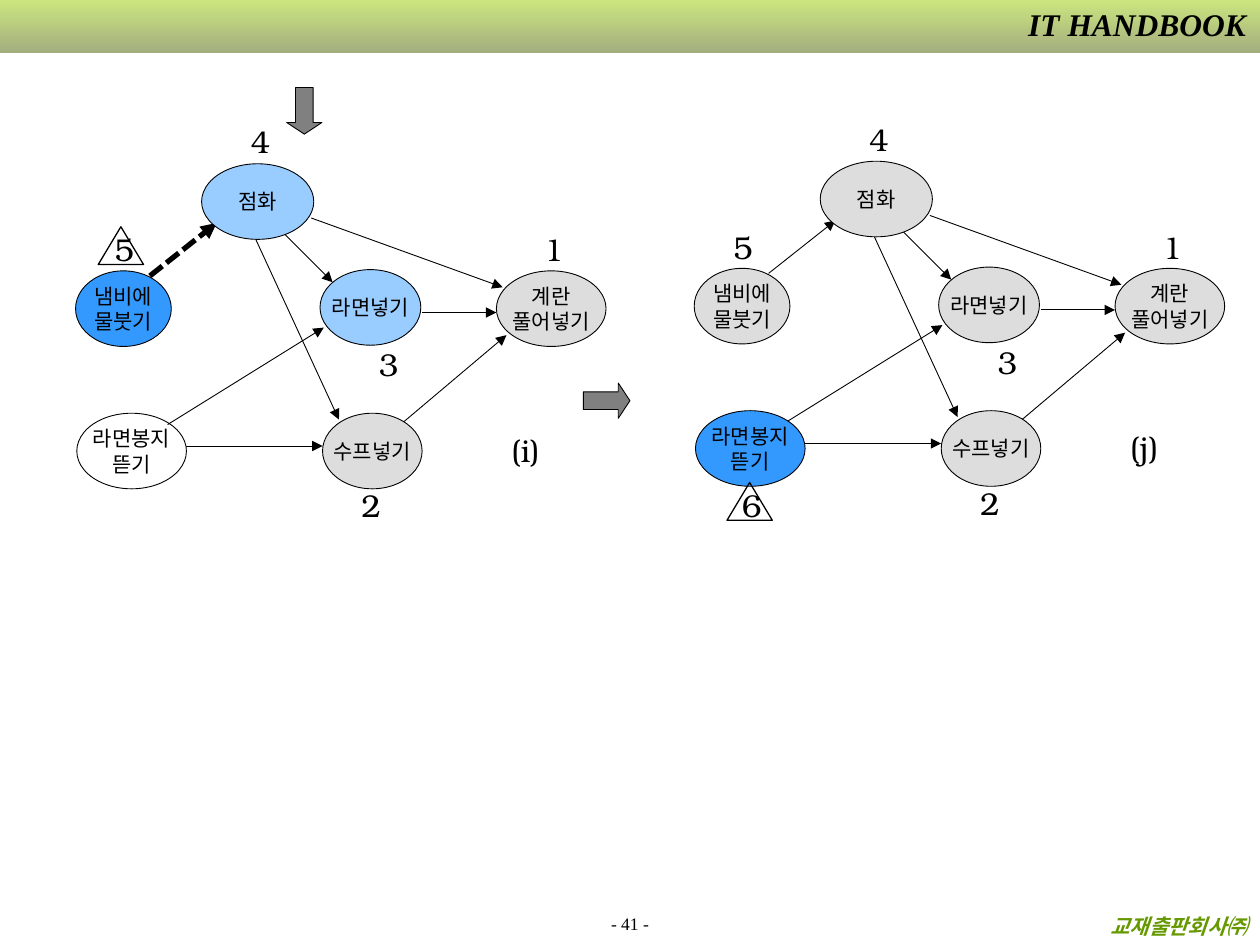
"""Build a slide with two steps of a topological sort graph."""
from lxml import etree
from pptx import Presentation
from pptx.dml.color import RGBColor
from pptx.enum.dml import MSO_LINE
from pptx.enum.shapes import MSO_CONNECTOR, MSO_SHAPE
from pptx.enum.text import MSO_ANCHOR, MSO_AUTO_SIZE, PP_ALIGN
from pptx.oxml import parse_xml
from pptx.oxml.ns import qn
from pptx.util import Inches, Pt

OVAL, ARROW = MSO_SHAPE.OVAL, MSO_SHAPE.RIGHT_ARROW
TRI, RECT = MSO_SHAPE.ISOSCELES_TRIANGLE, MSO_SHAPE.RECTANGLE
LEFT, MID, RIGHT = PP_ALIGN.LEFT, PP_ALIGN.CENTER, PP_ALIGN.RIGHT
TOP, CENTER, BOTTOM = MSO_ANCHOR.TOP, MSO_ANCHOR.MIDDLE, MSO_ANCHOR.BOTTOM
FIT, DOTS = MSO_AUTO_SIZE.SHAPE_TO_FIT_TEXT, MSO_LINE.SQUARE_DOT
SANS, SERIF, ROMAN = "Noto Sans CJK KR", "TeX Gyre Bonum", "Times New Roman"
COLOR = {"black": "000000", "blue": "3399FF", "sky": "99CCFF",
         "gray": "DDDDDD", "dark": "808080", "green": "669900",
         "lime": "CCE57F", "olive": "A3AE7F"}
SHADOW = ('<a:effectLst xmlns:a="http://schemas.openxmlformats.org/drawingml/2006/main">'
          '<a:outerShdw dist="17961" dir="2700000"><a:srgbClr val="FFFFFF"/>'
          '</a:outerShdw></a:effectLst>')

WIDE, HIGH = 10, 7.5
OVAL_H = 0.6
NODES = {"pot": ("냄비에\n물붓기", 0.6, 2.15, 0.76),
         "fire": ("점화", 1.6, 1.3, 0.89),
         "noodle": ("라면넣기", 2.54, 2.14, 0.8),
         "bag": ("라면봉지\n뜯기", 0.61, 3.28, 0.87),
         "egg": ("계란\n풀어넣기", 3.94, 2.15, 0.87),
         "soup": ("수프넣기", 2.56, 3.28, 0.79)}
FIRST = (1.19, 2.19, 1.72, 1.77)
EDGES = [FIRST, (2.47, 1.73, 3.99, 2.28), (2.25, 1.85, 2.64, 2.24),
         (1.48, 3.54, 2.56, 3.54), (3.35, 2.48, 3.94, 2.48),
         (3.19, 3.36, 4.02, 2.66), (1.33, 3.37, 2.57, 2.6),
         (2.03, 1.9, 2.69, 3.33)]
RANKS = [("1", 4.22, 1.78), ("2", 2.77, 3.81), ("3", 2.91, 2.69),
         ("4", 1.89, 0.92), ("5", 0.81, 1.78), ("6", 0.88, 3.83)]
GRAPHS = [
    {"at": (0, 0), "name": "(i)", "ranks": 5, "bold": FIRST, "mark": (0.78, 1.8),
     "fill": {"pot": "blue", "fire": "sky", "noodle": "sky", "bag": None}},
    {"at": (4.91, -0.02), "name": "(j)", "ranks": 6, "bold": None,
     "mark": (0.86, 3.85), "fill": {"bag": "blue"}},
]
NAME_AT = (3.96, 3.37)
STEPS = [(2.23, 0.74, 90), (4.63, 3.04, 0)]

deck = Presentation()
deck.slide_width, deck.slide_height = Inches(WIDE), Inches(HIGH)
slide = deck.slides.add_slide(deck.slide_layouts[5])
shapes = slide.shapes


def rgb(name):
    return RGBColor.from_string(COLOR[name])


def write(shape, text, font=ROMAN, size=12, color="black", align=LEFT,
          anchor=TOP, wrap=True, fit=MSO_AUTO_SIZE.NONE, bold=False, glow=False):
    frame = shape.text_frame
    frame.text = text
    frame.word_wrap, frame.auto_size = wrap, fit
    frame.vertical_anchor = anchor
    for para in frame.paragraphs:
        para.alignment = align
        for run in para.runs:
            face = run.font
            face.name, face.size = font, Pt(size)
            face.bold = face.italic = bold
            face.color.rgb = rgb(color)
            props = run._r.get_or_add_rPr()
            etree.SubElement(props, qn("a:ea"), typeface=SANS)
            if glow:
                props.find(qn("a:solidFill")).addnext(parse_xml(SHADOW))


def label(text, x, y, w, h, **style):
    box = shapes.add_textbox(Inches(x), Inches(y), Inches(w), Inches(h))
    write(box, text, **style)


def draw(kind, x, y, w, h, fill=None, line=0.5):
    shape = shapes.add_shape(kind, Inches(x), Inches(y), Inches(w), Inches(h))
    shape.shadow.inherit = False
    if fill:
        shape.fill.solid()
        shape.fill.fore_color.rgb = rgb(fill)
    else:
        shape.fill.background()
    shape.line.color.rgb = rgb("black")
    shape.line.width = Pt(line)
    return shape


def link(x, y, to_x, to_y, bold):
    edge = shapes.add_connector(MSO_CONNECTOR.STRAIGHT, Inches(x), Inches(y),
                                Inches(to_x), Inches(to_y))
    edge.line.color.rgb = rgb("black")
    edge.line.width = Pt(3 if bold else 0.5)
    if bold:
        edge.line.dash_style = DOTS
    etree.SubElement(edge.line._get_or_add_ln(), qn("a:tailEnd"), type="triangle")
    etree.SubElement(edge._element.spPr, qn("a:effectLst"))


def graph(at, name, ranks, bold, mark, fill):
    dx, dy = at
    for edge in EDGES:
        x, y, to_x, to_y = edge
        link(x + dx, y + dy, to_x + dx, to_y + dy, edge == bold)
    for key, (text, x, y, w) in NODES.items():
        node = draw(OVAL, x + dx, y + dy, w, OVAL_H, fill.get(key, "gray"))
        write(node, text, font=SANS, align=MID, anchor=CENTER, wrap=False)
    serif = {"font": SERIF, "size": 18, "wrap": False, "fit": FIT}
    label(name, NAME_AT[0] + dx, NAME_AT[1] + dy, 0.45, 0.4, **serif)
    for text, x, y in RANKS[:ranks]:
        label(text, x + dx, y + dy, 0.34, 0.4, **serif)
    draw(TRI, mark[0] + dx, mark[1] + dy, 0.36, 0.3, line=0.75)


def frame():
    bar = draw(RECT, 0, 0, WIDE, 0.42)
    bar.line.fill.background()
    bar.fill.gradient()
    bar.fill.gradient_angle = 270
    for stop, name in zip(bar.fill.gradient_stops, ("lime", "olive")):
        stop.color.rgb = rgb(name)
    title = shapes.title
    title.element.addprevious(bar.element)
    title.left, title.top = Inches(7.78), Inches(-0.01)
    title.width, title.height = Inches(2.21), Inches(0.4)
    write(title, "IT HANDBOOK", size=18, align=RIGHT, bold=True, glow=True)
    label("- 41 -", 0, 7.24, WIDE, 0.22, size=10, align=MID, anchor=BOTTOM)
    label("교재출판회사㈜", 0.06, 7.2, 9.94, 0.3, color="green", align=RIGHT, bold=True)


frame()
for part in GRAPHS:
    graph(**part)
for x, y, turn in STEPS:
    step = draw(ARROW, x, y, 0.37, 0.28, "dark")
    step.adjustments[1] = 0.33
    step.rotation = turn
deck.save("out.pptx")
